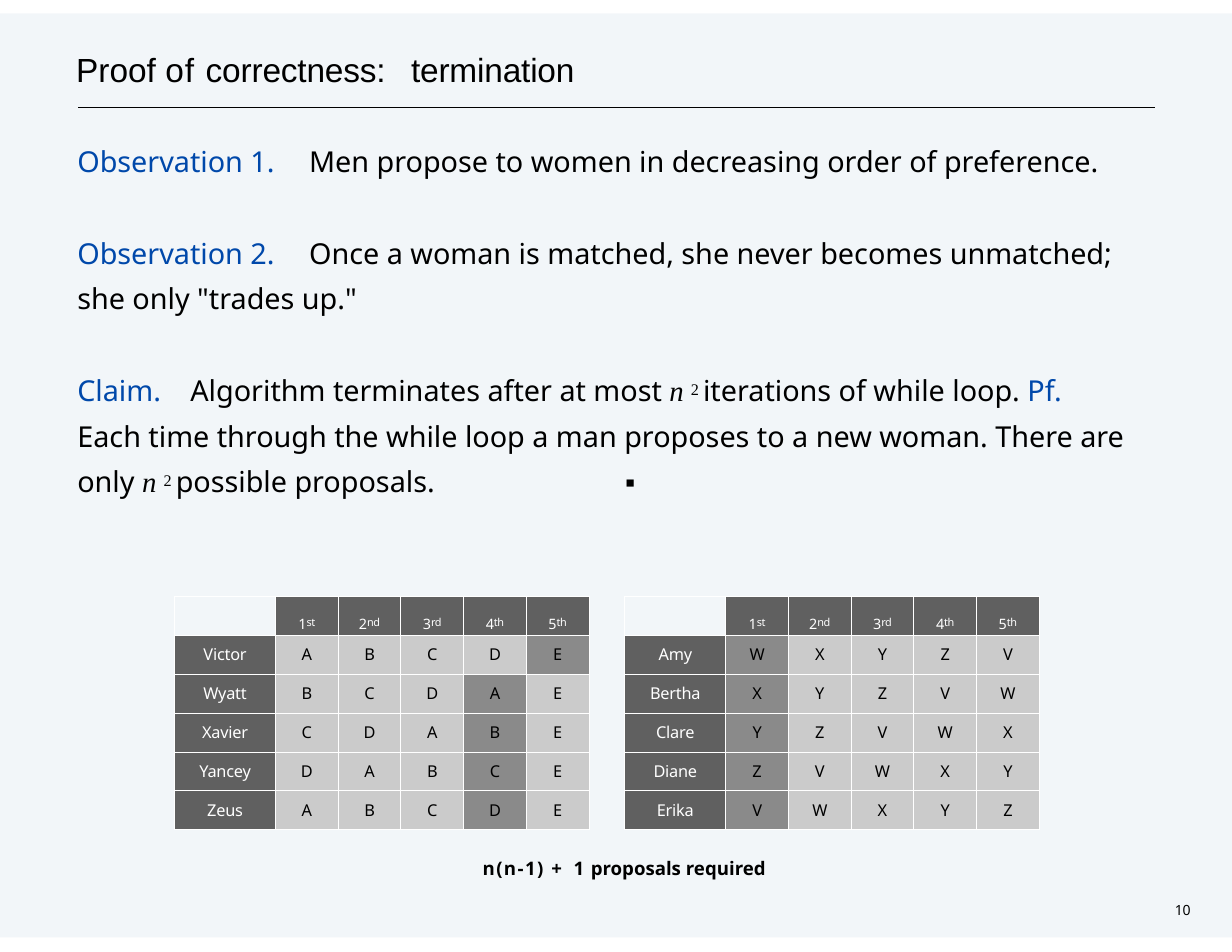
"""Build the slide on termination of the proposal algorithm, with two preference tables."""
import pptx
import pptx.util
import pptx.dml.color
import pptx.enum.shapes
import pptx.enum.text
import pptx.oxml.ns
import lxml.etree

Inches = pptx.util.Inches
Pt = pptx.util.Pt
RGBColor = pptx.dml.color.RGBColor
qn = pptx.oxml.ns.qn

BLACK = RGBColor(0x00, 0x00, 0x00)
WHITE = RGBColor(0xFF, 0xFF, 0xFF)
BLUE = RGBColor(0x00, 0x48, 0xAA)
BACKDROP = RGBColor(0x00, 0x54, 0x93)
HEADING = RGBColor(0x60, 0x60, 0x60)
PLAIN = RGBColor(0xCB, 0xCB, 0xCB)
MARKED = RGBColor(0x8A, 0x8A, 0x8A)
SANS, SERIF = "Noto Sans", "Times New Roman"


def add_run(paragraph, text, size, color=BLACK, font=SANS, bold=False, italic=False, **attributes):
    run = paragraph.add_run()
    run.text = text
    run.font.size = Pt(size)
    run.font.color.rgb = color
    run.font.name = font
    run.font.bold = bold
    run.font.italic = italic
    for name, value in attributes.items():
        run.font._element.set(name, str(value))


def prepare_frame(shape, left, top, width, height, inset, tabs=()):
    shape.left, shape.top = Inches(left), Inches(top)
    shape.width, shape.height = Inches(width), Inches(height)
    frame = shape.text_frame
    frame.word_wrap = True
    frame.vertical_anchor = pptx.enum.text.MSO_ANCHOR.TOP
    frame.margin_left = frame.margin_right = frame.margin_bottom = 0
    frame.margin_top = Inches(inset)
    for tab in tabs:
        properties = frame.paragraphs[0]._p.get_or_add_pPr()
        tab_list = lxml.etree.SubElement(properties, qn("a:tabLst"))
        lxml.etree.SubElement(tab_list, qn("a:tab"), pos=str(Inches(tab)), algn="l")
    return frame


presentation = pptx.Presentation()
presentation.slide_width = Inches(11)
presentation.slide_height = Inches(8.5)
slide = presentation.slides.add_slide(presentation.slide_layouts[5])
shapes = slide.shapes

backdrop = shapes.add_shape(
    pptx.enum.shapes.MSO_SHAPE.RECTANGLE, 0, Inches(0.12), Inches(11), Inches(8.25))
backdrop.shadow.inherit = False
backdrop.fill.solid()
backdrop.fill.fore_color.rgb = BACKDROP
color_element = backdrop._element.spPr.find(".//" + qn("a:srgbClr"))
lxml.etree.SubElement(color_element, qn("a:alpha"), val="5000")
backdrop.line.fill.background()
shapes._spTree.insert(2, backdrop._element)

rule = shapes.add_connector(
    pptx.enum.shapes.MSO_CONNECTOR.STRAIGHT, Inches(0.7), Inches(0.96), Inches(10.31), Inches(0.96))
rule.line.color.rgb = BLACK
rule.line.width = Pt(0.77)
lxml.etree.SubElement(rule._element.spPr, qn("a:effectLst"))

frame = prepare_frame(shapes.title, 0.68, 0.41, 5.2, 0.39, 0.03, [2.99])
title = frame.paragraphs[0]
title.alignment = pptx.enum.text.PP_ALIGN.LEFT
add_run(title, "Proof ", 21.5, font="Arial")
add_run(title, "of ", 21.5, font="Arial", spc=70)
add_run(title, "correctness:\ttermination", 21.5, font="Arial", spc=-10)

frame = prepare_frame(shapes.add_textbox(0, 0, 0, 0), 10.49, 8.03, 0.22, 0.18, 0.02)
add_run(frame.paragraphs[0], "10", 9, spc=-20)

square = [("n ", 18.5, BLACK, SERIF, False, True), ("2 ", 18, BLACK, SERIF)]
statements = [
    ([2.07], [("Observation 1.\t", 18.5, BLUE),
              ("Men propose to women in decreasing order of preference.", 18.5)]),
    ([2.07], [("Observation 2.\t", 18.5, BLUE),
              ("Once a woman is matched, she never becomes unmatched; "
               "she only \"trades up.\"", 18.5)]),
    ([0.54, 1.01, 4.86], [
        ("Claim.\t", 18.5, BLUE), ("Algorithm terminates after at most ", 18.5), *square,
        ("iterations of while loop. ", 18.5), ("Pf.\t", 18.5, BLUE),
        ("Each time through the while loop a man proposes to a new woman. "
         "There are only ", 18.5), *square,
        ("possible proposals.\t", 18.5), ("▪", 18.5, BLACK, "Courier New")]),
]
frame = prepare_frame(shapes.add_textbox(0, 0, 0, 0), 0.69, 1.25, 9.48, 3.2, 0.03)
for index, (tabs, runs) in enumerate(statements):
    paragraph = frame.add_paragraph() if index else frame.paragraphs[0]
    tab_list = lxml.etree.SubElement(paragraph._p.get_or_add_pPr(), qn("a:tabLst"))
    for tab in tabs:
        lxml.etree.SubElement(tab_list, qn("a:tab"), pos=str(Inches(tab)), algn="l")
    if index:
        paragraph.line_spacing = 1.32
        paragraph.space_before = Pt(29.8)
    for run in runs:
        raised = {"baseline": 21000} if run[0] == "2 " else {}
        add_run(paragraph, *run, **raised)

ordinals = ["st", "nd", "rd", "th", "th"]
preferences = [
    (1.56, [("Victor", "ABCDE", 5), ("Wyatt", "BCDAE", 4), ("Xavier", "CDABE", 4),
            ("Yancey", "DABCE", 4), ("Zeus", "ABCDE", 4)]),
    (5.58, [("Amy", "WXYZV", 1), ("Bertha", "XYZVW", 1), ("Clare", "YZVWX", 1),
            ("Diane", "ZVWXY", 1), ("Erika", "VWXYZ", 1)]),
]
for left, people in preferences:
    table = shapes.add_table(
        6, 6, Inches(left), Inches(5.33), Inches(3.68), Inches(2.08)).table
    table.first_row = table.horz_banding = False
    for column_index, column in enumerate(table.columns):
        column.width = Inches(0.56 if column_index else 0.9)
    for row_index, row in enumerate(table.rows):
        row.height = Inches(2.08 / 6)
        for column_index, cell in enumerate(row.cells):
            cell.margin_left = cell.margin_right = cell.margin_bottom = 0
            cell.margin_top = Inches(0.07 if row_index else 0.03)
            properties = cell._tc.get_or_add_tcPr()
            for side in ("a:lnL", "a:lnR", "a:lnT", "a:lnB"):
                border = lxml.etree.SubElement(properties, qn(side), w=str(Pt(0.75)))
                paint = lxml.etree.SubElement(border, qn("a:solidFill"))
                lxml.etree.SubElement(paint, qn("a:srgbClr"), val=str(WHITE))
            paragraph = cell.text_frame.paragraphs[0]
            paragraph.alignment = pptx.enum.text.PP_ALIGN.CENTER
            if row_index == column_index == 0:
                cell.fill.background()
                continue
            cell.fill.solid()
            cell.fill.fore_color.rgb = HEADING
            if row_index == 0:
                add_run(paragraph, str(column_index), 15.8, WHITE, baseline=-13000, spc=-40)
                add_run(paragraph, ordinals[column_index - 1], 7, WHITE, spc=-20)
                continue
            name, choices, marked = people[row_index - 1]
            if column_index == 0:
                add_run(paragraph, name, 10.5, WHITE, spc=-10)
            else:
                cell.fill.fore_color.rgb = MARKED if column_index == marked else PLAIN
                add_run(paragraph, choices[column_index - 1], 10.5, spc=-50)

frame = prepare_frame(shapes.add_textbox(0, 0, 0, 0), 4.31, 7.62, 2.7, 0.23, 0.03)
for text, spacing in [("n(n-1) ", 90), ("+ ", 220), ("1 ", 50), ("proposals required", 0)]:
    add_run(frame.paragraphs[0], text, 12, bold=True, spc=spacing)

presentation.save("out.pptx")
